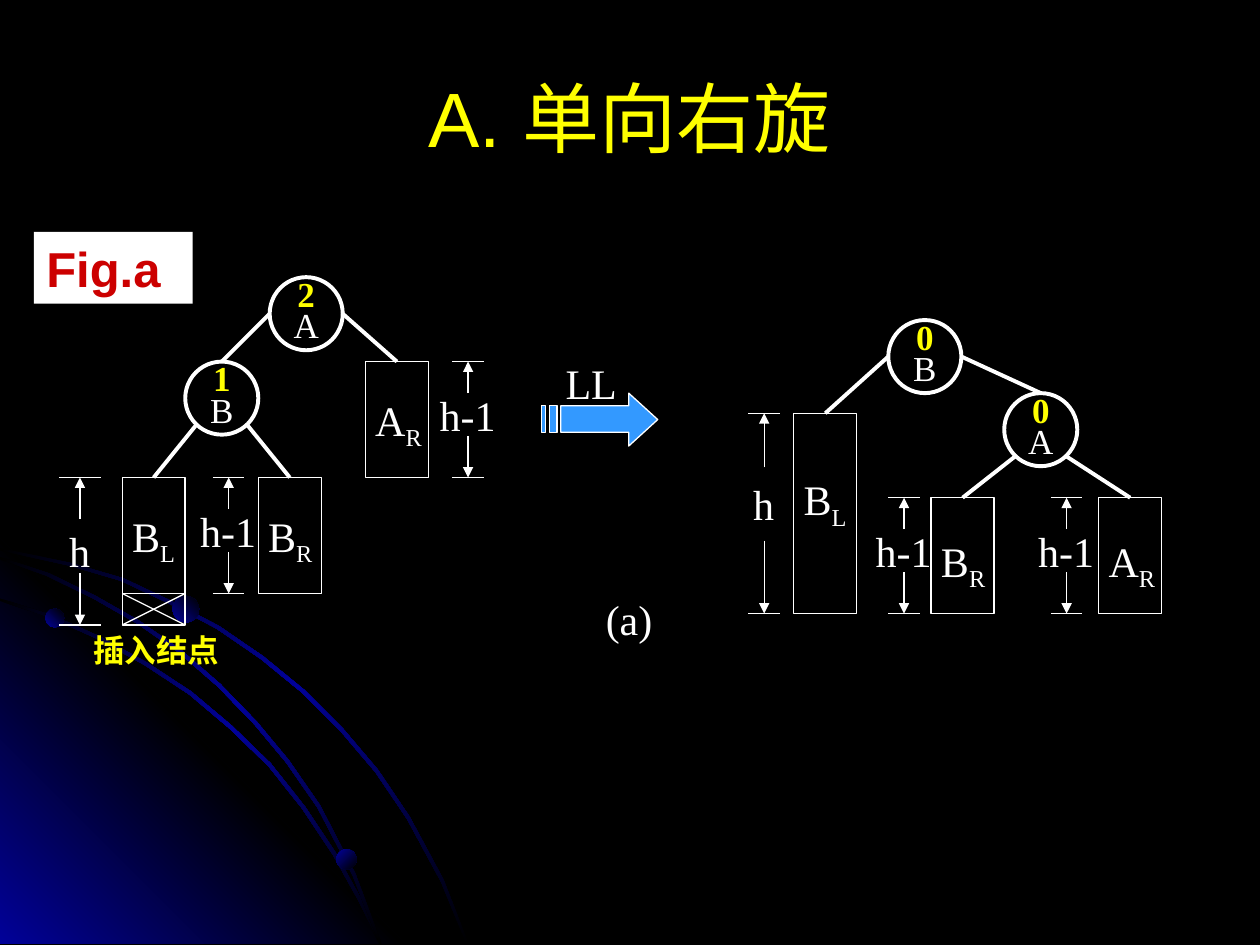
from lxml.etree import SubElement
from pptx import Presentation
from pptx.dml.color import RGBColor
from pptx.enum.shapes import MSO_CONNECTOR, MSO_SHAPE
from pptx.enum.text import MSO_ANCHOR, MSO_AUTO_SIZE, PP_ALIGN
from pptx.oxml.ns import qn
from pptx.util import Inches, Pt

COLORS = {"bg": "000000", "glow": "010199", "ink": "FFFFFF", "accent": "FFFF00",
          "arrow": "3399FF", "tag": "CC0000"}
SERIF, SANS = "Times New Roman", "Arial"
NODE, BAR_W, TICK_W = 0.58, 0.5, 0.25
ARCS = [
    [(0, 4.35), (0.57, 4.47), (0.98, 4.59), (1.36, 4.77), (1.74, 4.97), (2.09, 5.21),
     (2.42, 5.48), (2.72, 5.78), (3, 6.11), (3.25, 6.48), (3.52, 6.98), (3.72, 7.49)],
    [(0, 4.75), (0.41, 4.88), (0.79, 5.05), (1.17, 5.26), (1.52, 5.49), (1.84, 5.76),
     (2.15, 6.06), (2.42, 6.4), (2.66, 6.76), (2.86, 7.12), (3.03, 7.49)],
    [(0, 4.42), (0.39, 4.55), (0.76, 4.73), (1.11, 4.93), (1.44, 5.16), (1.75, 5.43),
     (2.04, 5.73), (2.29, 6.03), (2.54, 6.39), (2.82, 6.93), (3.03, 7.49)],
]


def rgb(name):
    return RGBColor.from_string(COLORS[name])


def style(sp, fill=None, line=None, width=0.75):
    sp.shadow.inherit = False
    if fill:
        sp.fill.solid()
        sp.fill.fore_color.rgb = rgb(fill)
    else:
        sp.fill.background()
    if line:
        sp.line.color.rgb = rgb(line)
        sp.line.width = Pt(width)
    else:
        sp.line.fill.background()
    return sp


def gradient(sp, names, angle):
    style(sp)
    sp.fill.gradient()
    sp.fill.gradient_angle = angle
    stops = sp._element.spPr.find(".//" + qn("a:gsLst"))
    for gs in list(stops):
        stops.remove(gs)
    for i, name in enumerate(names):
        gs = SubElement(stops, qn("a:gs"), pos=str(100000 * i // (len(names) - 1)))
        SubElement(gs, qn("a:srgbClr"), val=COLORS[name])


def shape(s, kind, x, y, w, h, **kw):
    return style(s.shapes.add_shape(kind, Inches(x), Inches(y), Inches(w), Inches(h)), **kw)


def outline(s, *contours):
    paths = [[(Inches(x), Inches(y)) for x, y in c] for c in contours]
    fb = s.shapes.build_freeform(*paths[0][0])
    fb.add_line_segments(paths[0][1:], close=True)
    for pts in paths[1:]:
        fb.move_to(*pts[0]).add_line_segments(pts[1:], close=True)
    return fb.convert_to_shape()


def line(s, x1, y1, x2, y2, width=0.75, arrow=False):
    c = s.shapes.add_connector(MSO_CONNECTOR.STRAIGHT, Inches(x1), Inches(y1),
                               Inches(x2), Inches(y2))
    c.line.color.rgb = rgb("ink")
    c.line.width = Pt(width)
    if arrow:
        SubElement(c.line._get_or_add_ln(), qn("a:tailEnd"), type="triangle")
    SubElement(c._element.spPr, qn("a:effectLst"))


def add_run(p, text, size=24, font=SERIF, color="ink", bold=False, sub=False):
    r = p.add_run()
    r.text = text
    r.font.size, r.font.name, r.font.bold = Pt(size), font, bold
    r.font.color.rgb = rgb(color)
    if sub:
        r.font._element.set("baseline", "-25000")


def label(s, x, y, w, text, sub="", h=0.5, **fmt):
    tf = s.shapes.add_textbox(Inches(x), Inches(y), Inches(w), Inches(h)).text_frame
    tf.word_wrap = False
    add_run(tf.paragraphs[0], text, **fmt)
    if sub:
        add_run(tf.paragraphs[0], sub, sub=True, **fmt)


def node(s, x, y, balance, key, left, right, low=False):
    sp = shape(s, MSO_SHAPE.OVAL, x, y, NODE, NODE, line="ink", width=2.25)
    tf = sp.text_frame
    tf.word_wrap = False
    tf.vertical_anchor = MSO_ANCHOR.MIDDLE
    for p, text, color in ((tf.paragraphs[0], balance, "accent"),
                           (tf.add_paragraph(), key, "ink")):
        p.alignment = PP_ALIGN.CENTER
        p.line_spacing = 0.75
        add_run(p, text, size=20, color=color, bold=color == "accent")
    inset, drop = (0.09, 0.5) if low else (0, NODE / 2)
    line(s, x + inset, y + drop, *left, width=2.25)
    line(s, x + NODE - inset, y + drop, *right, width=2.25)


def subtree(s, x, y, h, key, side, drop):
    shape(s, MSO_SHAPE.RECTANGLE, x, y, BAR_W, h, line="ink")
    label(s, x - 0.02, y + drop, 0.57, key, sub=side)
    return x + BAR_W / 2, y


def height_mark(s, x, y, h, text="h-1", w=TICK_W, drop=0.17, upper=0.25, lower=0.33):
    mid, text_w = x + w / 2, 0.65 if text == "h-1" else 0.37
    for edge in (y, y + h):
        line(s, x, edge, x + w, edge)
    label(s, mid - text_w / 2, y + drop, text_w, text)
    line(s, mid, y + upper, mid, y, arrow=True)
    line(s, mid, y + h - lower, mid, y + h, arrow=True)


def tree_before(s, x, y):
    top, short, tall, added = y + 1.59, 0.92, 1.17, 0.25
    bl = subtree(s, x + 0.5, top, tall, "B", "L", 0.21)
    br = subtree(s, x + 1.58, top, short, "B", "R", 0.21)
    ar = subtree(s, x + 2.43, y + 0.67, short, "A", "R", 0.21)
    node(s, x + 1.67, y, "2", "A", (x + 1.29, y + 0.67), ar)
    node(s, x + 1, y + 0.67, "1", "B", bl, br, low=True)
    x1, x2, y1, y2 = x + 0.5, x + 0.5 + BAR_W, top + tall - added, top + tall
    for ya, yb in ((y1, y1), (y1, y2), (y2, y1)):
        line(s, x1, ya, x2, yb)
    height_mark(s, x, top, tall, "h", w=0.33, drop=0.33, upper=0.33, lower=0.41)
    height_mark(s, x + 1.22, top, short)
    height_mark(s, x + 3.12, y + 0.67, short)
    label(s, x + 0.17, y2, 1.2, "插入结点", h=0.4, size=18, color="accent", bold=True)


def tree_after(s, x, y):
    top, short, tall = y + 1.41, 0.92, 1.59
    bl = subtree(s, x + 0.36, y + 0.74, tall, "B", "L", 0.43)
    br = subtree(s, x + 1.45, top, short, "B", "R", 0.25)
    ar = subtree(s, x + 2.78, top, short, "A", "R", 0.25)
    node(s, x + 1.11, y, "0", "B", bl, (x + 2.32, y + NODE))
    node(s, x + 2.03, y + NODE, "0", "A", br, ar, low=True)
    height_mark(s, x, y + 0.74, tall, "h", drop=0.47, upper=0.43, lower=0.58)
    height_mark(s, x + 1.11, top, short)
    height_mark(s, x + 2.4, top, short)


def rotation_arrow(s, x, y):
    y1, y2 = y + 0.1, y + 0.31
    head = [(x + 0.69, y), (x + 0.69, y1), (x + 0.15, y1), (x + 0.15, y2),
            (x + 0.69, y2), (x + 0.69, y + 0.42), (x + 0.92, y + 0.21)]
    bars = [[(a, y1), (a, y2), (b, y2), (b, y1)]
            for a, b in ((x + 0.06, x + 0.12), (x, x + 0.03))]
    style(outline(s, head, *bars), fill="arrow", line="ink")
    label(s, x + 0.09, y - 0.33, 0.61, "LL")


def backdrop(s):
    s.background.fill.solid()
    s.background.fill.fore_color.rgb = rgb("bg")
    corner = outline(s, [(3.22, 7.49), (0, 7.49), (0, 4.27)])
    gradient(corner, ("glow", "bg", "glow"), 45)
    for arc in ARCS:
        lower = [(max(x - 0.02, 0), min(y + 0.02, 7.49)) for x, y in reversed(arc)]
        gradient(outline(s, arc + lower), ("bg", "glow", "bg"), 315)
    for x, y, d, angle in ((0.36, 4.83, 0.15, 45), (2.67, 6.74, 0.16, 315),
                           (1.37, 4.73, 0.21, 45)):
        gradient(shape(s, MSO_SHAPE.OVAL, x, y, d, d), ("glow", "bg"), angle)


def heading(s, x, y, w, h, text):
    sp = s.shapes.title
    sp.left, sp.top, sp.width, sp.height = (Inches(v) for v in (x, y, w, h))
    tf = sp.text_frame
    tf.auto_size = MSO_AUTO_SIZE.NONE
    tf.vertical_anchor = MSO_ANCHOR.MIDDLE
    tf.paragraphs[0].alignment = PP_ALIGN.CENTER
    add_run(tf.paragraphs[0], text, size=44, font=SANS, color="accent")


def figure_tag(s, x, y, w, h, text):
    tf = shape(s, MSO_SHAPE.RECTANGLE, x, y, w, h, fill="ink").text_frame
    tf.vertical_anchor = MSO_ANCHOR.TOP
    tf.paragraphs[0].alignment = PP_ALIGN.LEFT
    add_run(tf.paragraphs[0], text, size=28, font=SANS, color="tag", bold=True)


def main():
    prs = Presentation()
    prs.slide_width, prs.slide_height = Inches(10), Inches(7.5)
    s = prs.slides.add_slide(prs.slide_layouts[5])
    backdrop(s)
    heading(s, 0.5, 0.3, 9, 1.25, "A. 单向右旋")
    tree_before(s, 0.47, 2.2)
    rotation_arrow(s, 4.3, 3.12)
    tree_after(s, 5.94, 2.54)
    label(s, 4.71, 4.66, 0.57, "(a)")
    figure_tag(s, 0.27, 1.84, 1.26, 0.57, "Fig.a")
    prs.save("out.pptx")


if __name__ == "__main__":
    main()
